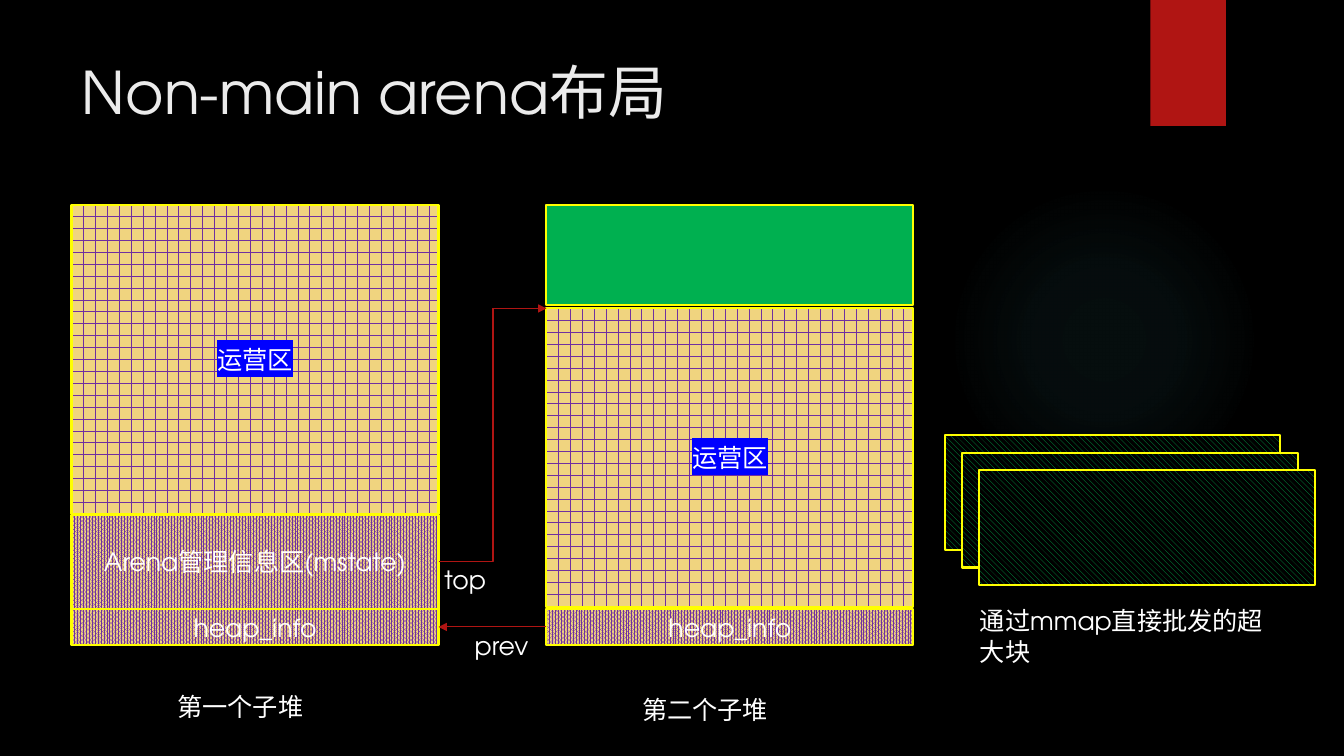
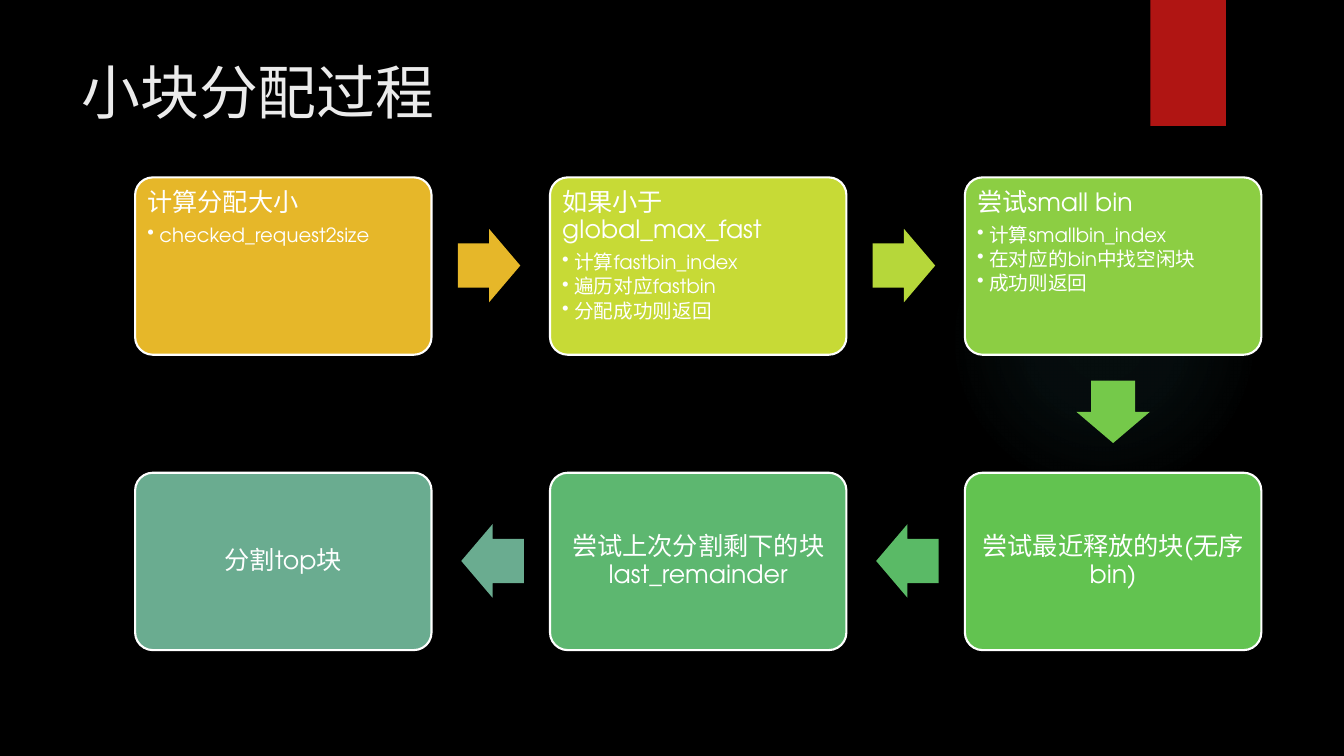
from lxml import etree
from pptx import Presentation
from pptx.dml.color import RGBColor as RGB
from pptx.enum.dml import MSO_PATTERN as PAT
from pptx.enum.shapes import MSO_CONNECTOR as LINK, MSO_SHAPE as SHAPE
from pptx.enum.text import MSO_ANCHOR as ANCHOR, MSO_AUTO_SIZE as AUTO, PP_ALIGN as ALIGN
from pptx.oxml import parse_xml
from pptx.oxml.ns import nsdecls, qn
from pptx.util import Inches, Pt

FONT = "TeX Gyre Adventor"
BLACK = RGB(0x00, 0x00, 0x00)
WHITE = RGB(0xFF, 0xFF, 0xFF)
PALE = RGB(0xEB, 0xEB, 0xEB)
RED = RGB(0xB0, 0x15, 0x13)
GREEN = RGB(0x00, 0xB0, 0x50)
YELLOW = RGB(0xFF, 0xFF, 0x00)
PURPLE = RGB(0x70, 0x30, 0xA0)
SAND = RGB(0xF0, 0xD4, 0x7F)
GOLD = RGB(0xE6, 0xB7, 0x29)
LIME = RGB(0xC7, 0xDA, 0x36)
LEAF = RGB(0x8C, 0xCE, 0x43)
GRASS = RGB(0x62, 0xC3, 0x50)
JADE = RGB(0x5D, 0xB7, 0x70)
TEAL = RGB(0x6A, 0xAC, 0x90)

# Fills: a plain colour, or (pattern, front, back)
DOTS = (PAT.PERCENT_80, PURPLE, SAND)
BRICK = (PAT.HORIZONTAL_BRICK, PURPLE, SAND)
STRIPE = (PAT.WIDE_DOWNWARD_DIAGONAL, GREEN, BLACK)

GLOW = [(0, 7), (36, 6), (69, 0)]  # stop and opacity, in percent


def put(obj, **vals):
    for key, val in vals.items():
        setattr(obj, key, val)


def area(box):
    return [Inches(v) for v in box]


def paint(fill, look):
    if isinstance(look, RGB):
        fill.solid()
        fill.fore_color.rgb = look
    else:
        fill.patterned()
        fill.pattern, fill.fore_color.rgb, fill.back_color.rgb = look


def shape(slide, kind, box, look, edge=None):
    item = slide.shapes.add_shape(kind, *area(box))
    item.shadow.inherit = False
    paint(item.fill, look)
    if edge is None:
        item.line.fill.background()
    else:
        item.line.color.rgb = edge
        item.line.width = Pt(1.5)
    return item


def write(para, text, size=18, color=WHITE):
    run = para.add_run()
    run.text = text
    put(run.font, name=FONT, size=Pt(size))
    run.font.color.rgb = color
    return run


def label(slide, box, text, size=18, color=WHITE, wrap=False, auto=AUTO.SHAPE_TO_FIT_TEXT):
    frame = slide.shapes.add_textbox(*area(box)).text_frame
    put(frame, word_wrap=wrap, auto_size=auto)
    write(frame.paragraphs[0], text, size, color)


def mark(run):
    """Blue highlight behind a run."""
    high = parse_xml(f'<a:highlight {nsdecls("a")}><a:srgbClr val="0000FF"/></a:highlight>')
    run._r.rPr.find(qn("a:solidFill")).addnext(high)


# Shared look: backdrop, glow, red tag, title
def base(prs, title):
    slide = prs.slides.add_slide(prs.slide_layouts[6])
    paint(slide.background.fill, BLACK)
    glow = shape(slide, SHAPE.OVAL, (9.41, 1.83, 3.08, 3.08), BLACK)
    stops = "".join(
        f'<a:gs pos="{pos}000"><a:srgbClr val="50B9C1"><a:alpha val="{alpha}000"/></a:srgbClr></a:gs>'
        for pos, alpha in GLOW)
    grad = parse_xml(
        f'<a:gradFill {nsdecls("a")}><a:gsLst>{stops}</a:gsLst><a:path path="circle">'
        '<a:fillToRect l="50000" t="50000" r="50000" b="50000"/></a:path></a:gradFill>')
    props = glow._element.spPr
    props.replace(props.find(qn("a:solidFill")), grad)
    shape(slide, SHAPE.RECTANGLE, (11.41, 0, 0.75, 1.25), RED)
    label(slide, (0.71, 0.5, 10.29, 1.53), title, 42, PALE, True, AUTO.NONE)
    return slide


# One heap: a column of blocks, each (top offset, height, fill, text)
def heap(slide, left, top, rows):
    made = []
    for down, high, look, text in rows:
        item = shape(slide, SHAPE.RECTANGLE, (left, top + down, 3.64, high), look, YELLOW)
        if text:
            item.text_frame.vertical_anchor = ANCHOR.MIDDLE
            para = item.text_frame.paragraphs[0]
            para.alignment = ALIGN.CENTER
            run = write(para, text)
            if look == BRICK:
                mark(run)
        made.append(item)
    return made


def link(slide, kind, start, end, arrow=True):
    line = slide.shapes.add_connector(kind, *area(start + end))
    line.line.color.rgb = RED
    line.line.width = Pt(0.75)
    if arrow:
        etree.SubElement(line.line._get_or_add_ln(), qn("a:tailEnd"), type="triangle")
    etree.SubElement(line._element.spPr, qn("a:effectLst"))
    return line


# Three overlapping blocks with a caption
def pile(slide, left, top):
    for i in range(3):
        step = i * 0.17
        shape(slide, SHAPE.RECTANGLE, (left + step, top + step, 3.33, 1.14), STRIPE, YELLOW)
    label(slide, (left + 0.25, top + 1.64, 3.16, 0.71), "通过mmap直接批发的超大块", wrap=True)


def arena(prs):
    slide = base(prs, "Non-main arena布局")
    top = 2.03
    _, state, info = heap(slide, 0.71, top, [
        (0, 3.07, BRICK, "运营区"),
        (3.08, 0.93, DOTS, "Arena管理信息区(mstate)"),
        (4.01, 0.36, DOTS, "heap_info")])
    _, _, tail = heap(slide, 5.42, top, [
        (0, 1, GREEN, ""),
        (1.03, 2.96, BRICK, "运营区"),
        (4.01, 0.36, DOTS, "heap_info")])

    # Pointers between the heaps
    link(slide, LINK.STRAIGHT, (4.89, 3.06), (5.42, 3.06))
    bend = link(slide, LINK.ELBOW, (4.35, 5.58), (4.89, 3.06), False)
    bend._element.spPr.find(qn("a:prstGeom")).set("prst", "bentConnector2")
    bend.begin_connect(state, 3)
    prev = link(slide, LINK.STRAIGHT, (5.42, 6.22), (4.35, 6.22))
    prev.begin_connect(tail, 1)
    prev.end_connect(info, 3)

    for box, text in [
            ((4.31, 5.55, 0.62, 0.4), "top"),
            ((4.61, 6.2, 0.75, 0.4), "prev"),
            ((1.66, 6.81, 1.46, 0.4), "第一个子堆"),
            ((6.27, 6.84, 1.45, 0.4), "第二个子堆")]:
        label(slide, box, text)
    pile(slide, 9.37, 4.32)


# One step: heading, with bullets below if any
def card(slide, box, look, head, items):
    item = shape(slide, SHAPE.ROUNDED_RECTANGLE, box, look, WHITE)
    item.adjustments[0] = 0.1
    frame = item.text_frame
    gap = Inches(0.07)
    put(frame, margin_left=gap, margin_right=gap, margin_top=gap, margin_bottom=gap,
        word_wrap=True, vertical_anchor=ANCHOR.TOP if items else ANCHOR.MIDDLE)
    para = frame.paragraphs[0]
    put(para, alignment=ALIGN.LEFT if items else ALIGN.CENTER,
        line_spacing=0.9, space_after=Pt(6.3))
    write(para, head)
    for text in items:
        para = frame.add_paragraph()
        props = para._p.get_or_add_pPr()
        props.set("marL", str(Inches(0.12)))
        props.set("indent", str(Inches(-0.12)))
        etree.SubElement(props, qn("a:buChar"), char="•")
        put(para, level=1, alignment=ALIGN.LEFT, line_spacing=0.9, space_after=Pt(2.1))
        write(para, text, 14)


def arrow(slide, left, top, turn, look):
    item = shape(slide, SHAPE.RIGHT_ARROW, (left, top, 0.62, 0.73), look)
    item.adjustments[0], item.adjustments[1] = 0.6, 0.5
    item.rotation = turn


def flow(prs):
    slide = base(prs, "小块分配过程")
    left, wide, high = 1.34, 2.94, 1.76
    pitch = (9.57 - left) / 2
    tops = (1.76, 4.69)
    steps = [
        (GOLD, "计算分配大小", ["checked_request2size"]),
        (LIME, "如果小于global_max_fast",
         ["计算fastbin_index", "遍历对应fastbin", "分配成功则返回"]),
        (LEAF, "尝试small bin",
         ["计算smallbin_index", "在对应的bin中找空闲块", "成功则返回"]),
        (GRASS, "尝试最近释放的块(无序bin)", []),
        (JADE, "尝试上次分割剩下的块last_remainder", []),
        (TEAL, "分割top块", [])]
    tints = [GOLD, RGB(0xB6, 0xD7, 0x3A), RGB(0x75, 0xC9, 0x4A), RGB(0x5A, 0xBA, 0x66), TEAL]

    # Cards run right along the first row, then back along the second
    for i, (look, head, items) in enumerate(steps):
        row, col = i // 3, min(i, 5 - i)
        x, y = left + col * pitch, tops[row]
        card(slide, (x, y, wide, high), look, head, items)
        mid = y + 0.51
        if i < 2:
            arrow(slide, x + wide + 0.26, mid, 0, tints[i])
        elif i == 2:
            arrow(slide, x + 1.16, y + high + 0.2, 90, tints[i])
        elif i < 5:
            arrow(slide, x - 0.88, mid, 180, tints[i])


def main():
    prs = Presentation()
    put(prs, slide_width=Inches(13.33), slide_height=Inches(7.5))
    arena(prs)
    flow(prs)
    prs.save("out.pptx")


if __name__ == "__main__":
    main()
